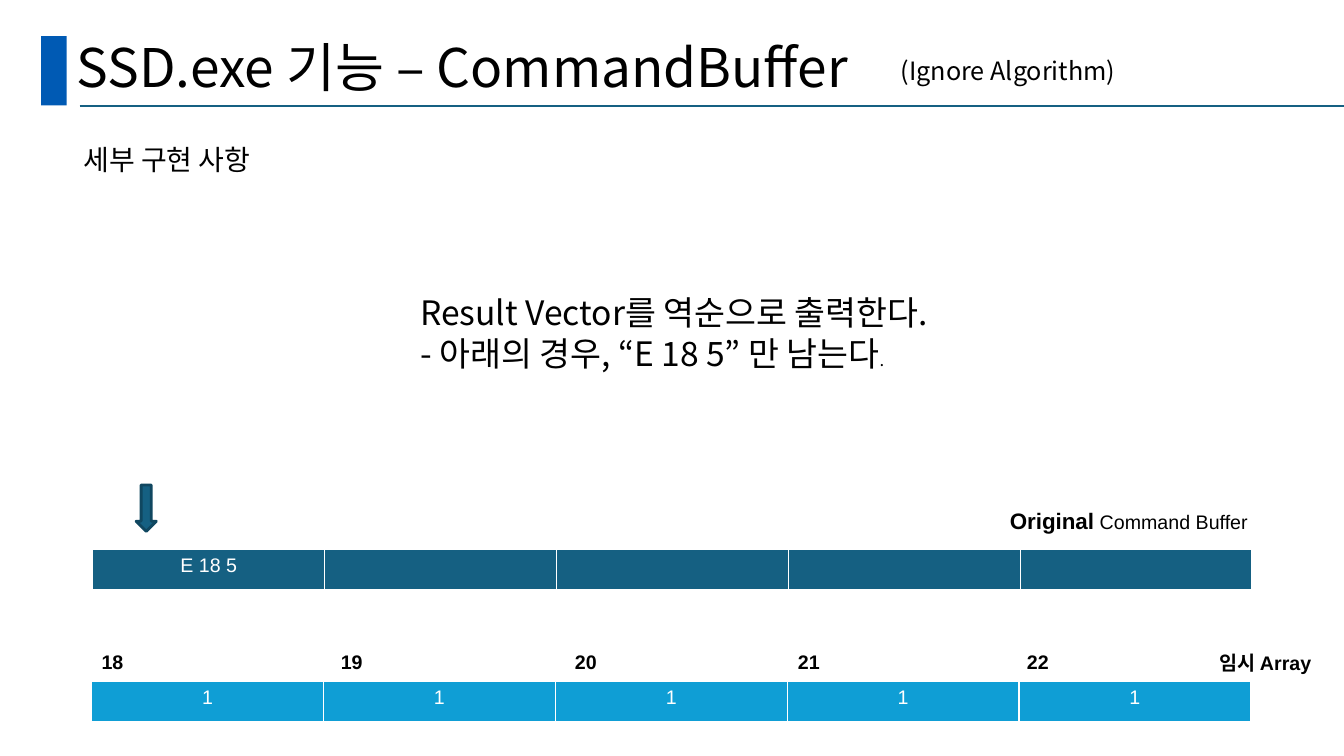
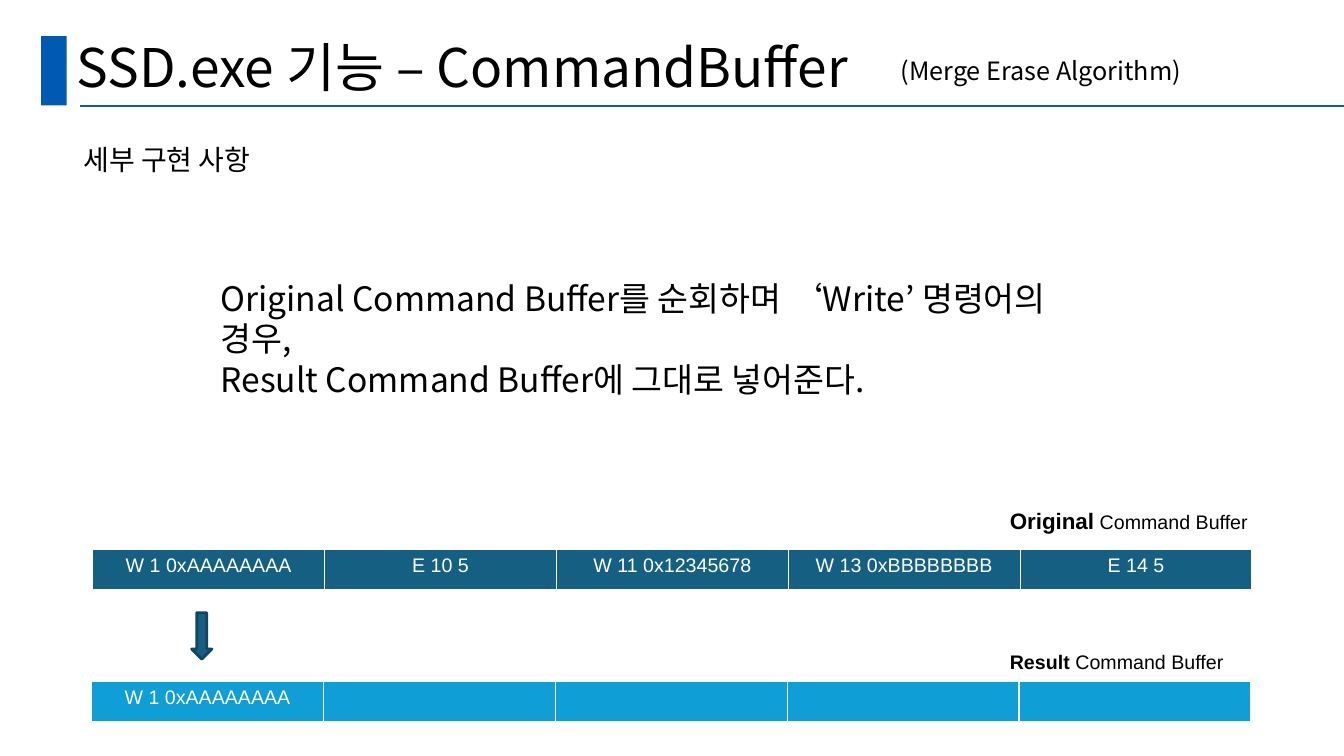
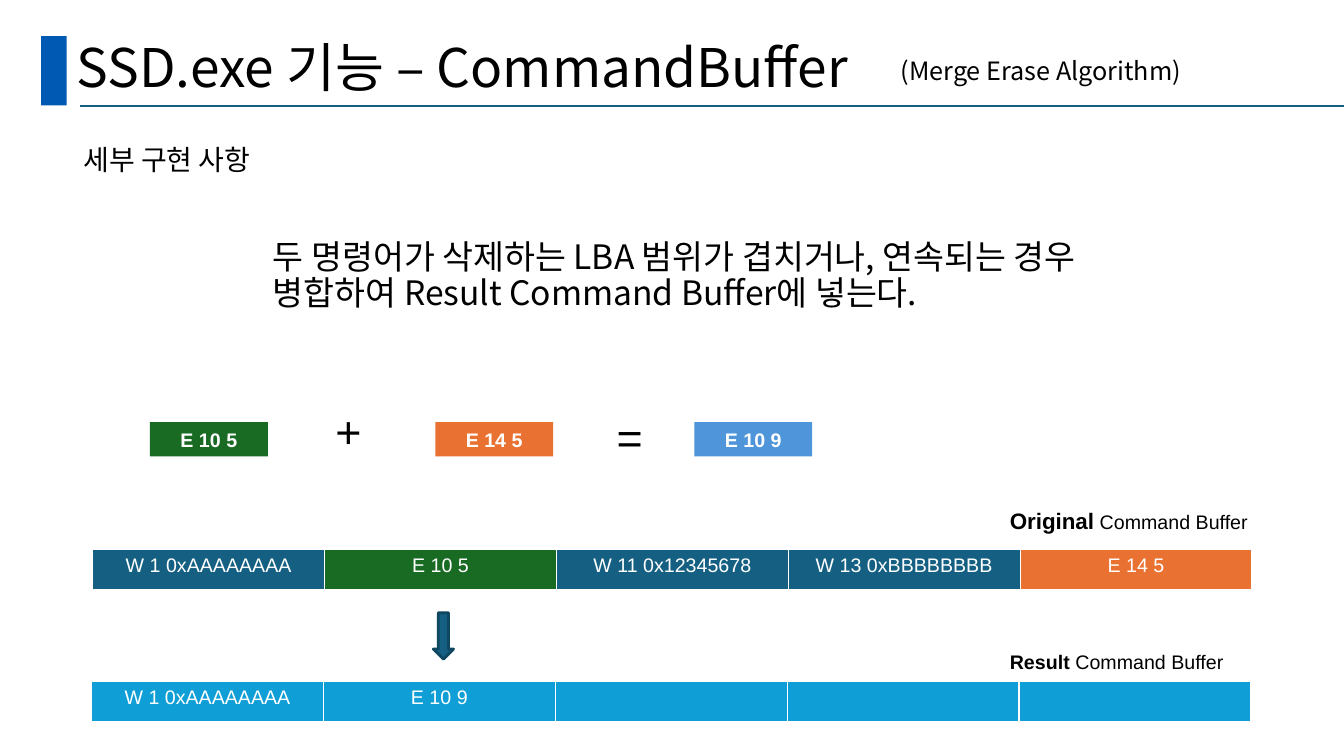
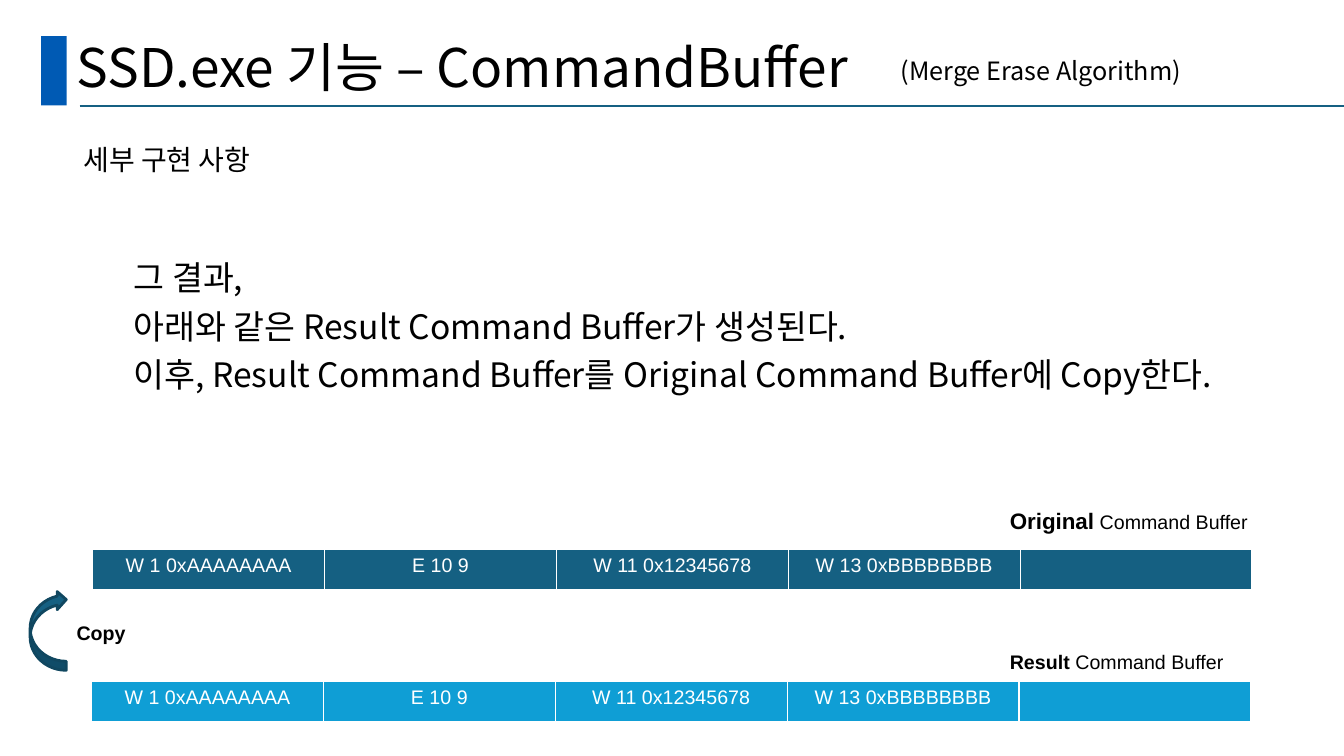
from lxml import etree
from pptx import Presentation
from pptx import util as u
from pptx.dml.color import RGBColor
from pptx.enum import shapes as sh, text as tx
from pptx.oxml.ns import qn

BLACK = RGBColor(0x00, 0x00, 0x00)
WHITE = RGBColor(0xFF, 0xFF, 0xFF)
BLUE = RGBColor(0x00, 0x5A, 0xB4)
TEAL = RGBColor(0x15, 0x60, 0x82)
DEEP = RGBColor(0x10, 0x47, 0x60)
SKY = RGBColor(0x0F, 0x9E, 0xD5)
GREEN = RGBColor(0x19, 0x6B, 0x24)
ORANGE = RGBColor(0xE9, 0x71, 0x32)
PALE = RGBColor(0x4E, 0x95, 0xD9)
SANS = "Arial"
KOREAN = "Noto Sans CJK KR"


def cm(*nums):
    return [u.Cm(n) for n in nums]


def put(frame, *paras, size=14, font=SANS, color=BLACK, bold=False,
        align=tx.PP_ALIGN.LEFT, space=None, indent=0, tabs=()):
    """Fill a text frame; a paragraph is a string or a list of (string, format) runs."""
    for i, para in enumerate(paras):
        p = frame.add_paragraph() if i else frame.paragraphs[0]
        p.alignment = align
        if space:
            p.line_spacing = space
        props = p._p.get_or_add_pPr()
        if indent:
            props.set("marL", str(u.Cm(indent)))
            props.set("indent", "0")
        if tabs:
            stops = etree.SubElement(props, qn("a:tabLst"))
            for pos in tabs:
                etree.SubElement(stops, qn("a:tab"), pos=str(u.Cm(pos)), algn="l")
        for words, own in [(para, {})] if isinstance(para, str) else para:
            for j, line in enumerate(words.split("\n")):
                if j:
                    p.add_line_break()
                run = p.add_run()
                run.text = line
                run.font.size = u.Pt(own.get("size", size))
                run.font.bold = own.get("bold", bold)
                run.font.name = font
                run.font.color.rgb = color
                east = etree.Element(qn("a:ea"), typeface=KOREAN)
                run.font._element.find(qn("a:latin")).addnext(east)


class Deck:
    """Holds the style and the current slide."""

    def __init__(self):
        self.prs = Presentation()
        self.prs.slide_width, self.prs.slide_height = cm(33.87, 19.05)
        self.base = self.prs.slide_layouts[5]
        head = self.base.placeholders[0]
        head.left, head.top, head.width, head.height = cm(1.68, 0.86, 29.21, 1.8)
        head.text_frame.vertical_anchor = tx.MSO_ANCHOR.MIDDLE
        self.page = None

    def frame(self):
        """Draw the band and rule, then move them to the layout all slides share."""
        band = self.shape(sh.MSO_SHAPE.RECTANGLE, 1.04, 0.91, 0.64, 1.75, BLUE)
        rule = self.page.shapes.add_connector(
            sh.MSO_CONNECTOR.STRAIGHT, *cm(2.01, 2.67, 33.87, 2.67))
        rule.line.color.rgb = TEAL
        rule.line.width = u.Pt(1.5)
        etree.SubElement(rule.element.spPr, qn("a:effectLst"))
        for num, part in enumerate((band, rule), 20):
            part.element.xpath(".//p:cNvPr")[0].set("id", str(num))
            self.base.shapes.element.append(part.element)

    def start(self, topic):
        first = self.page is None
        self.page = self.prs.slides.add_slide(self.base)
        if first:
            self.frame()
        head = self.page.shapes.title.text_frame
        head.auto_size = tx.MSO_AUTO_SIZE.NONE
        put(head, "SSD.exe 기능 – CommandBuffer", size=38, font=KOREAN, space=0.9)
        self.text(22.45, 1.27, 8.59, 1.02, f"({topic})", size=18, font=KOREAN)
        self.text(1.37, 3.56, 16.94, 1.04, "세부 구현 사항",
                  size=20, font=KOREAN, space=0.9, indent=0.48)

    def text(self, x, y, w, h, *paras, **fmt):
        box = self.page.shapes.add_textbox(*cm(x, y, w, h)).text_frame
        box.word_wrap = True
        put(box, *paras, **fmt)

    def body(self, x, y, w, h, *paras, space=None):
        self.text(x, y, w, h, *paras, size=24, font=KOREAN, space=space, indent=0.48)

    def shape(self, kind, x, y, w, h, fill, edge=None):
        item = self.page.shapes.add_shape(kind, *cm(x, y, w, h))
        item.shadow.inherit = False
        item.fill.solid()
        item.fill.fore_color.rgb = fill
        if edge is None:
            item.line.fill.background()
        else:
            item.line.color.rgb = edge
            item.line.width = u.Pt(2)
        return item

    def arrow(self, x, y):
        self.shape(sh.MSO_SHAPE.DOWN_ARROW, x, y, 0.51, 1.17, TEAL, DEEP)

    def chip(self, x, words, fill):
        item = self.shape(sh.MSO_SHAPE.RECTANGLE, x, 10.64, 2.97, 0.86, fill)
        put(item.text_frame, words, color=WHITE, bold=True, align=tx.PP_ALIGN.CENTER)

    def table(self, x, y, words, fill, hues):
        """Draw one row of five cells; hues maps a cell index to its own fill."""
        grid = self.page.shapes.add_table(1, 5, *cm(x, y, 29.21, 1.04)).table
        grid.first_row = grid.horz_banding = False
        for i in range(5):
            cell = grid.cell(0, i)
            props = cell._tc.get_or_add_tcPr()
            for side, wide in zip("LRTB", (1, 1, 1, 3)):
                edge = etree.SubElement(props, qn(f"a:ln{side}"), w=str(u.Pt(wide)))
                paint = etree.SubElement(edge, qn("a:solidFill"))
                etree.SubElement(paint, qn("a:srgbClr"), val=str(WHITE))
            cell.fill.solid()
            cell.fill.fore_color.rgb = hues.get(i, fill)
            if i < len(words):
                put(cell.text_frame, words[i], color=WHITE, align=tx.PP_ALIGN.CENTER)

    def label(self, y, name, size):
        self.text(25.2, y, 6.55, 0.9,
                  [(name, {"size": size, "bold": True}), (" Command Buffer", {})])

    def source(self, *words, hues={}):
        self.table(2.34, 13.84, words, TEAL, hues)
        self.label(12.65, "Original", 16)

    def lower(self, *words):
        self.table(2.31, 17.17, words, SKY, {})

    def result(self, *words):
        self.lower(*words)
        self.label(16.26, "Result", 14)


def ignore(deck):
    deck.start("Ignore Algorithm")
    deck.source("E 18 5")
    deck.body(9.86, 7.24, 14.96, 2.36,
              [("Result Vector를 역순으로 출력한다.\n- 아래의 경우, “E 18 5” 만 남는다", {}),
               (".", {"size": 12})])
    deck.lower(*"11111")
    deck.text(30.48, 16.28, 3, 0.86, "임시 Array", bold=True)
    deck.text(2.31, 16.26, 29.26, 0.86, "18\t19\t20\t21\t22", bold=True,
              tabs=(6.03, 11.93, 17.55, 23.32))
    deck.arrow(3.43, 12.22)


def write(deck, cells):
    deck.start("Merge Erase Algorithm")
    deck.source(*cells)
    deck.body(4.83, 6.88, 23.19, 2.72,
              "Original Command Buffer를 순회하며 ‘Write’ 명령어의 경우,",
              "Result Command Buffer에 그대로 넣어준다.")
    deck.result(cells[0])
    deck.arrow(4.83, 15.44)


def merge(deck, cells):
    deck.start("Merge Erase Algorithm")
    deck.source(*cells, hues={1: GREEN, 4: ORANGE})
    deck.body(6.15, 5.94, 21.54, 2.57,
              "두 명령어가 삭제하는 LBA 범위가 겹치거나, 연속되는 경우\n"
              "병합하여 Result Command Buffer에 넣는다.", space=0.9)
    deck.result(cells[0], "E 10 9")
    deck.chip(3.78, "E 10 5", GREEN)
    deck.chip(10.97, "E 14 5", ORANGE)
    deck.chip(17.5, "E 10 9", PALE)
    deck.text(8.2, 10.06, 1.98, 1.63, "+", size=32)
    deck.text(15.29, 10.19, 1.98, 1.63, "=", size=32)
    deck.arrow(10.92, 15.44)


def finish(deck, cells):
    deck.start("Merge Erase Algorithm")
    deck.source(*cells)
    deck.body(2.64, 6.15, 28.88, 4.45,
              "그 결과,\n아래와 같은 Result Command Buffer가 생성된다.\n"
              "이후, Result Command Buffer를 Original Command Buffer에 Copy한다.",
              space=1.2)
    deck.result(*cells)
    curve = deck.shape(sh.MSO_SHAPE.CURVED_RIGHT_ARROW, 0.76, 14.88, 0.91, 2.01, TEAL, DEEP)
    curve.rotation = 180
    curve.element.xpath(".//a:xfrm")[0].set("flipH", "1")
    deck.text(1.68, 15.52, 6.55, 0.86, "Copy", bold=True)


def main():
    deck = Deck()
    first, *writes = "W 1 0xAAAAAAAA", "W 11 0x12345678", "W 13 0xBBBBBBBB"
    before = [first, "E 10 5", *writes, "E 14 5"]
    ignore(deck)
    write(deck, before)
    merge(deck, before)
    finish(deck, [first, "E 10 9", *writes])
    deck.prs.save("out.pptx")


if __name__ == "__main__":
    main()
